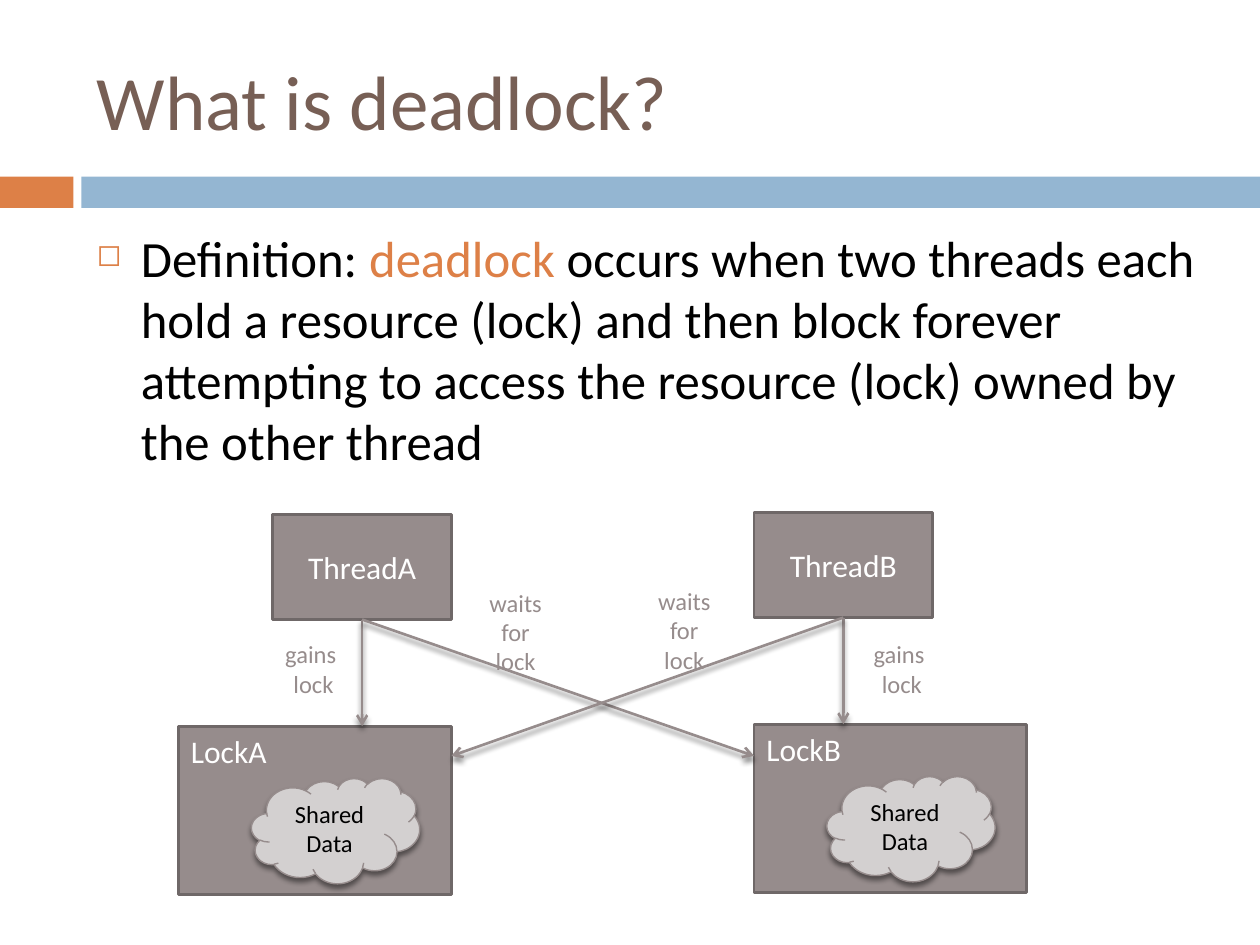
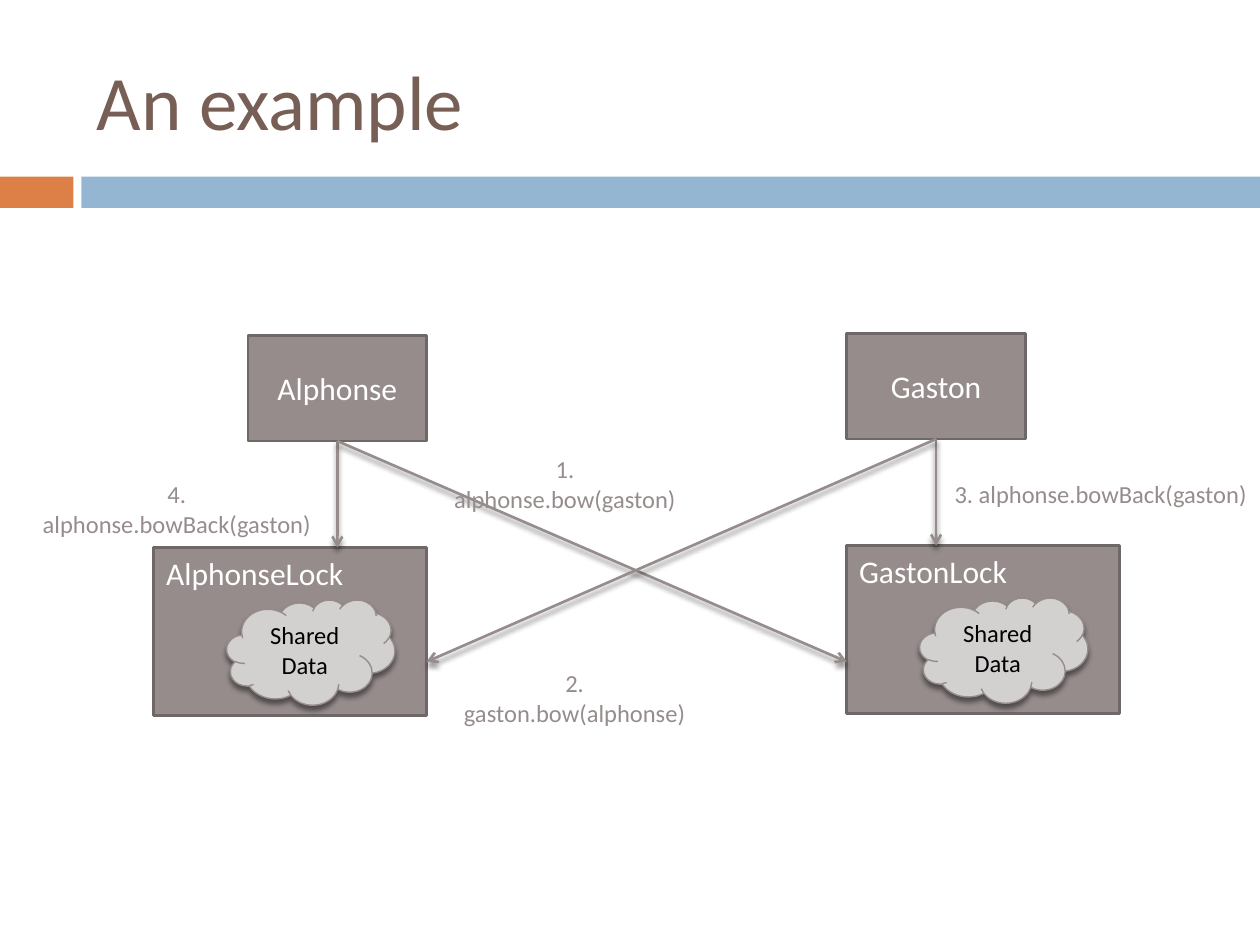
import dataclasses

import lxml.etree
import pptx
import pptx.dml.color
import pptx.enum.shapes
import pptx.enum.text
import pptx.oxml.ns
import pptx.util

Cm = pptx.util.Cm
Pt = pptx.util.Pt
Kind = pptx.enum.shapes.MSO_SHAPE
Align = pptx.enum.text.PP_ALIGN
Anchor = pptx.enum.text.MSO_ANCHOR
qn = pptx.oxml.ns.qn


@dataclasses.dataclass(frozen=True)
class Theme:
    """Colours, font and type sizes of the deck."""
    font: str = "Calibri"
    accent: str = "DD8047"
    band: str = "94B6D2"
    title: str = "775F55"
    ink: str = "000000"
    white: str = "FFFFFF"
    box: str = "968C8C"
    edge: str = "6F6868"
    cloud: str = "D3D0D0"
    head: int = 44
    body: int = 29
    name: int = 18
    note: int = 14


THEME = Theme()
THREAD = (3.6, 2.12)
LOCK = (5.5, 3.39)
CLOUD = (1.47, 1.05, 3.39, 2.12)
INSET = 1.9
DROP = 4.27
LIFT = 0.04


def rgb(code):
    """Turn a hex code into a colour."""
    return pptx.dml.color.RGBColor.from_string(code)


def style(font, size, color):
    """Set the face, size and colour of a font."""
    font.name = THEME.font
    font.size = Pt(size)
    font.color.rgb = rgb(color)


def write(shape, lines, size, color, align=Align.CENTER, anchor=Anchor.TOP):
    """Fill a shape with one paragraph per line."""
    frame = shape.text_frame
    frame.word_wrap = True
    frame.vertical_anchor = anchor
    frame.text = "\n".join(lines)
    for para in frame.paragraphs:
        para.alignment = align
        style(para.font, size, color)


def label(slide, box, *text, **look):
    """Add a text box that holds the given text."""
    shape = slide.shapes.add_textbox(*map(Cm, box))
    write(shape, *text, **look)


def shade(shape):
    """Give a shape or connector a soft shadow below."""
    props = shape._element.spPr
    effects = lxml.etree.SubElement(props, qn("a:effectLst"))
    outer = lxml.etree.SubElement(
        effects, qn("a:outerShdw"), blurRad="38100", dist="30480",
        dir="5400000", rotWithShape="0")
    black = lxml.etree.SubElement(outer, qn("a:srgbClr"), val=THEME.ink)
    lxml.etree.SubElement(black, qn("a:alpha"), val="45000")


def block(shapes, kind, box, fill, edge=None, width=1.5, soft=False):
    """Add a filled shape, with an outline if an edge colour is given."""
    shape = shapes.add_shape(kind, *map(Cm, box))
    shape.fill.solid()
    shape.fill.fore_color.rgb = rgb(fill)
    if edge:
        shape.line.color.rgb = rgb(edge)
        shape.line.width = Pt(width)
    else:
        shape.line.fill.background()
    if soft:
        shade(shape)
    else:
        shape.shadow.inherit = False
    return shape


def arrow(slide, start, end):
    """Draw an arrow between two points."""
    line = slide.shapes.add_connector(
        pptx.enum.shapes.MSO_CONNECTOR.STRAIGHT, *map(Cm, start + end))
    line.line.color.rgb = rgb(THEME.box)
    line.line.width = Pt(1.5)
    lxml.etree.SubElement(line.line._ln, qn("a:tailEnd"), type="arrow")
    shade(line)


def page(deck, title):
    """Add a slide with its title and bands."""
    slide = deck.slides.add_slide(deck.slide_layouts[6])
    block(slide.shapes, Kind.RECTANGLE, (0, 3.56, 1.48, 0.63), THEME.accent)
    block(slide.shapes, Kind.RECTANGLE, (1.64, 3.56, 23.76, 0.63), THEME.band)
    label(slide, (1.7, 0.64, 22.65, 2.75), [title], THEME.head, THEME.title,
          align=Align.LEFT, anchor=Anchor.MIDDLE)
    return slide


def bullet(slide, box, parts):
    """Add a bulleted paragraph made of text and colour pairs."""
    frame = slide.shapes.add_textbox(*map(Cm, box)).text_frame
    frame.word_wrap = True
    para = frame.paragraphs[0]
    props = para._p.get_or_add_pPr()
    props.set("marL", str(Cm(0.89)))
    props.set("indent", str(-Cm(0.89)))
    tint = lxml.etree.SubElement(props, qn("a:buClr"))
    lxml.etree.SubElement(tint, qn("a:srgbClr"), val=THEME.accent)
    lxml.etree.SubElement(props, qn("a:buSzPct"), val="60000")
    lxml.etree.SubElement(props, qn("a:buChar"), char="◻")
    for text, color in parts:
        run = para.add_run()
        run.text = text
        style(run.font, THEME.body, color)


def thread(slide, left, top, name):
    """Draw a thread and return the middle of its foot."""
    wide, high = THREAD
    shape = block(slide.shapes, Kind.RECTANGLE, (left, top, wide, high),
                  THEME.box, THEME.edge)
    write(shape, [name], THEME.name, THEME.white, anchor=Anchor.MIDDLE)
    return left + wide / 2, top + high


def lock(slide, left, top, name):
    """Draw a lock around its cloud of shared data."""
    group = slide.shapes.add_group_shape()
    shape = block(group.shapes, Kind.RECTANGLE, (left, top, *LOCK),
                  THEME.box, THEME.edge)
    write(shape, [name], THEME.name, THEME.white, align=Align.LEFT)
    across, down, wide, high = CLOUD
    shape = block(group.shapes, Kind.CLOUD,
                  (left + across, top + down, wide, high),
                  THEME.cloud, THEME.box, 0.79, soft=True)
    write(shape, ["Shared Data"], THEME.note, THEME.ink, anchor=Anchor.MIDDLE)


def cycle(slide, left, top, span, threads, locks, hit, notes):
    """Draw two threads that cross over to each other's lock."""
    right = left + span
    tops = (top, top - LIFT)
    feet = [thread(slide, *spot) for spot in
            zip((left + INSET, right), tops, threads)]
    for spot in zip((left, right), tops, locks):
        lock(slide, spot[0], spot[1] + DROP, spot[2])
    ends = (right, left + LOCK[0])
    for foot, high, end in zip(feet, tops, ends):
        arrow(slide, foot, (foot[0], high + DROP))
        arrow(slide, foot, (end, top + DROP + hit))
    for across, down, wide, lines in notes:
        label(slide, (left + across, top + down, wide, 0.64 * len(lines)),
              lines, THEME.note, THEME.box)


def main():
    """Build the deck."""
    deck = pptx.Presentation()
    deck.slide_width, deck.slide_height = Cm(25.4), Cm(19.05)

    slide = page(deck, "What is deadlock?")
    bullet(slide, (1.7, 4.45, 22.65, 12.5), [
        ("Definition: ", THEME.ink),
        ("deadlock", THEME.accent),
        (" occurs when two threads each hold a resource (lock) and then "
         "block forever attempting to access the resource (lock) owned by "
         "the other thread", THEME.ink)])
    gains, waits = ["gains ", "lock"], ["waits for", "lock"]
    cycle(slide, 3.6, 10.37, 11.6, ("ThreadA", "ThreadB"),
          ("LockA", "LockB"), 0.6, [
              (1.88, 2.39, 1.68, gains), (13.74, 2.39, 1.68, gains),
              (5.69, 1.35, 2.21, waits), (9.09, 1.32, 2.21, waits)])

    slide = page(deck, "An example")
    cycle(slide, 3.1, 6.77, 13.97, ("Alphonse", "Gaston"),
          ("AlphonseLock", "GastonLock"), 2.3, [
              (-2.67, 2.77, 6.27, ["4. alphonse.bowBack(gaston)"]),
              (15.88, 2.77, 6.42, ["3. alphonse.bowBack(gaston) "]),
              (5.61, 2.26, 5.36, ["1. alphonse.bow(gaston)"]),
              (5.82, 6.58, 5.33, ["2. gaston.bow(alphonse)"])])
    deck.save("out.pptx")


if __name__ == "__main__":
    main()
